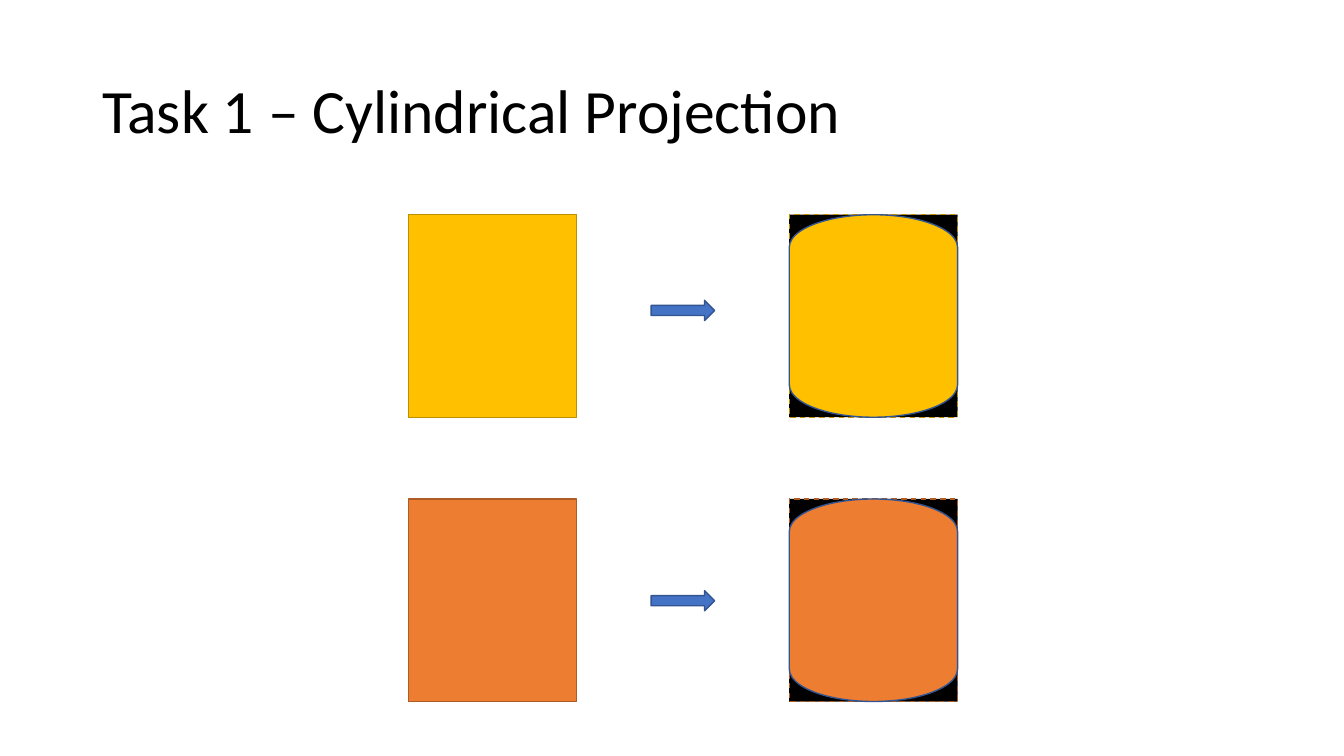
from dataclasses import dataclass

from pptx import Presentation
from pptx.dml.color import RGBColor
from pptx.enum.dml import MSO_LINE
from pptx.enum.shapes import MSO_SHAPE
from pptx.enum.text import MSO_ANCHOR
from pptx.shapes.autoshape import Shape
from pptx.slide import Slide
from pptx.util import Pt

COLORS = {
    "black": "000000",
    "gold": "FFC000",
    "gold_edge": "BD8E00",
    "orange": "ED7D31",
    "orange_edge": "AF5C24",
    "blue": "4472C4",
    "blue_edge": "325491",
}

# Shared geometry, in points
FLAT_LEFT, ARROW_LEFT, CURVED_LEFT = 291.6, 465.12, 563.76
PANEL_WIDTH, PANEL_HEIGHT = 120.24, 144.72
ARROW_WIDTH, ARROW_HEIGHT = 45.36, 14.4


@dataclass(frozen=True)
class Projection:
    """One row: a flat panel, an arrow and the projected panel."""
    top: float
    arrow_top: float
    fill: str
    edge: str


PROJECTIONS = [
    Projection(153.36, 214.56, "gold", "gold_edge"),
    Projection(356.4, 421.92, "orange", "orange_edge"),
]


def color(name: str) -> RGBColor:
    return RGBColor.from_string(COLORS[name])


def add_title(page: Slide, text: str) -> None:
    box = page.shapes.add_textbox(Pt(66), Pt(28.8), Pt(828), Pt(104.4))
    frame = box.text_frame
    frame.word_wrap = True
    frame.vertical_anchor = MSO_ANCHOR.MIDDLE
    frame.text = text
    para = frame.paragraphs[0]
    para.line_spacing = 0.9
    font = para.runs[0].font
    font.name = "Calibri"
    font.size = Pt(44)
    font.color.rgb = color("black")


def add_block(page: Slide, kind: MSO_SHAPE, left: float, top: float,
              width: float, height: float, fill: str, edge: str) -> Shape:
    block = page.shapes.add_shape(kind, Pt(left), Pt(top), Pt(width), Pt(height))
    block.shadow.inherit = False
    block.fill.solid()
    block.fill.fore_color.rgb = color(fill)
    block.line.color.rgb = color(edge)
    block.line.width = Pt(1)
    return block


def add_projection(page: Slide, row: Projection) -> None:
    # Flat panel and arrow
    add_block(page, MSO_SHAPE.RECTANGLE, FLAT_LEFT, row.top,
              PANEL_WIDTH, PANEL_HEIGHT, row.fill, row.edge)
    add_block(page, MSO_SHAPE.RIGHT_ARROW, ARROW_LEFT, row.arrow_top,
              ARROW_WIDTH, ARROW_HEIGHT, "blue", "blue_edge")

    # Dashed black backing
    backing = add_block(page, MSO_SHAPE.RECTANGLE, CURVED_LEFT, row.top,
                        PANEL_WIDTH, PANEL_HEIGHT, "black", row.edge)
    backing.line.dash_style = MSO_LINE.DASH

    # Curved panel: turned a quarter about the centre of its backing
    shift = (PANEL_HEIGHT - PANEL_WIDTH) / 2
    curved = add_block(page, MSO_SHAPE.FLOWCHART_TERMINATOR,
                       CURVED_LEFT - shift, row.top + shift,
                       PANEL_HEIGHT, PANEL_WIDTH, row.fill, "blue_edge")
    curved.rotation = 90


def main() -> None:
    deck = Presentation()
    deck.slide_width, deck.slide_height = Pt(960), Pt(540)
    page = deck.slides.add_slide(deck.slide_layouts[6])
    add_title(page, "Task 1 – Cylindrical Projection")
    for row in PROJECTIONS:
        add_projection(page, row)
    deck.save("out.pptx")


if __name__ == "__main__":
    main()
